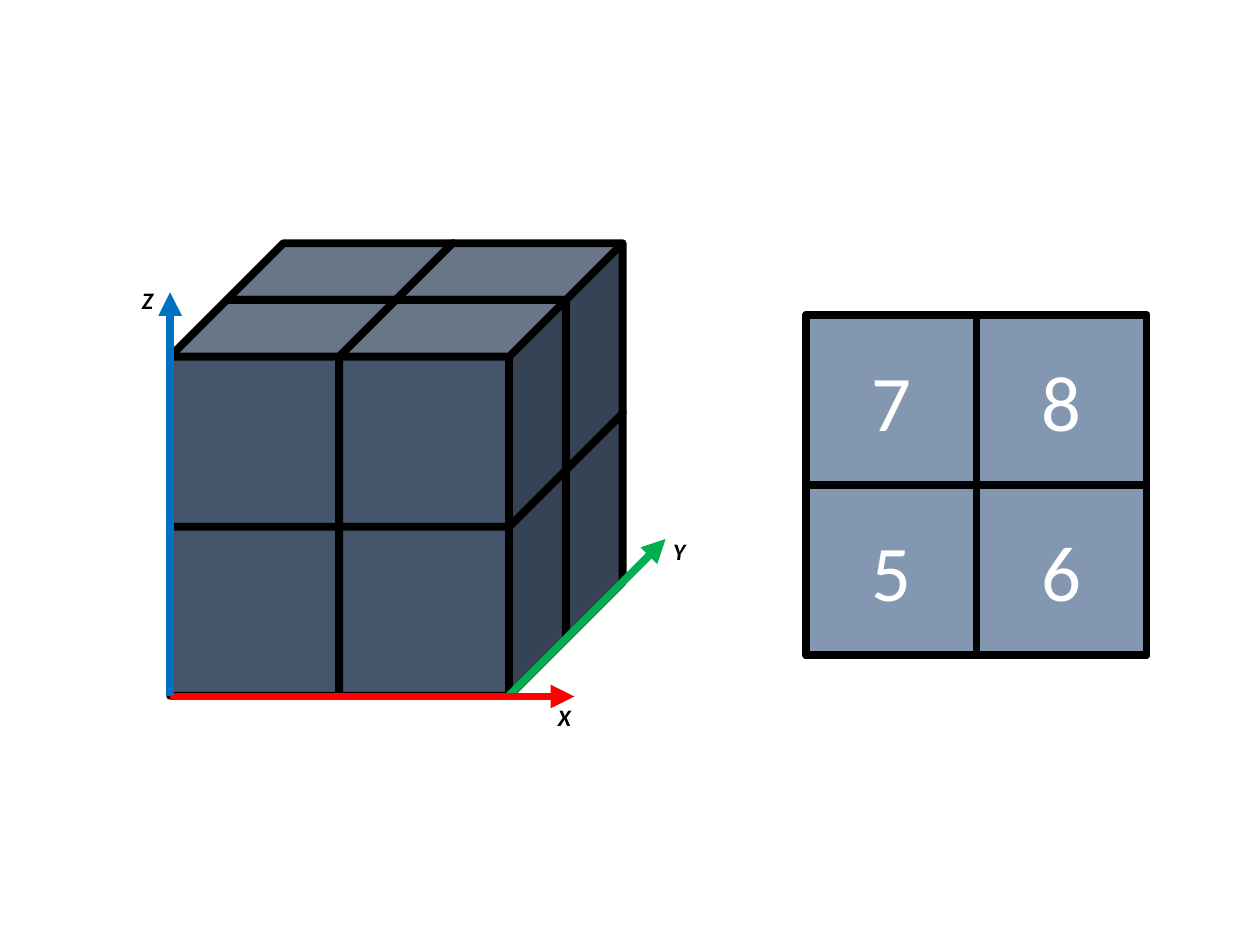
from itertools import product
from lxml.etree import SubElement
from pptx import Presentation
from pptx.dml.color import RGBColor
from pptx.enum.shapes import MSO_CONNECTOR, MSO_SHAPE
from pptx.enum.text import MSO_ANCHOR, MSO_AUTO_SIZE, PP_ALIGN
from pptx.oxml.ns import qn
from pptx.util import Pt

LINE = 4.5
BLACK = "000000"
AXIS = {"name": "Calibri", "size": Pt(13.5), "bold": True, "italic": True}
DIGIT = {"name": "Calibri", "size": Pt(45), "bold": False}


def paint(form, color):
    if hasattr(form, "solid"):
        form.solid()
        form = form.fore_color
    form.rgb = RGBColor.from_string(color)


def style(item, values):
    for name, value in values.items():
        setattr(item, name, value)


def block(group, kind, box, color):
    shape = group.shapes.add_shape(kind, *map(Pt, box))
    shape.shadow.inherit = False
    paint(shape.fill, color)
    paint(shape.line.fill, BLACK)
    shape.line.width = Pt(LINE)
    return shape


def write(shape, text, font, color, frame):
    style(shape.text_frame, frame)
    para = shape.text_frame.paragraphs[0]
    para.alignment = PP_ALIGN.CENTER
    run = para.add_run()
    run.text = text
    style(run.font, font)
    paint(run.font.color, color)


def arrow(group, start, end, color):
    line = group.shapes.add_connector(
        MSO_CONNECTOR.STRAIGHT, *map(Pt, (*start, *end)))
    paint(line.line.fill, color)
    line.line.width = Pt(LINE)
    props = line._element.spPr
    SubElement(props.find(qn("a:ln")), qn("a:tailEnd"), type="triangle")
    SubElement(props, qn("a:effectLst"))


def label(group, text, left, top):
    box = group.shapes.add_textbox(*map(Pt, (left, top, 24.5, 23.8)))
    write(box, text, AXIS, BLACK, {
        "word_wrap": True, "auto_size": MSO_AUTO_SIZE.SHAPE_TO_FIT_TEXT,
        "margin_left": Pt(5.4), "margin_right": Pt(5.4)})


def draw_cube(slide, left, top, step, depth):
    group = slide.shapes.add_group_shape()
    side = step + depth + 0.6
    for back, level, col in product((1, 0), (1, 0), (0, 1)):
        x = left + col * step + back * depth
        y = top + level * step + (1 - back) * depth
        block(group, MSO_SHAPE.CUBE, (x, y, side, side), "44546A")
    base = top + depth + step + side + 0.4
    reach = 231
    slant = 90
    edge = left + 2 * step
    arrow(group, (edge, base), (edge + slant, base - slant), "00B050")
    arrow(group, (left, base), (left + reach, base), "FF0000")
    arrow(group, (left, base), (left, base - reach), "0070C0")
    label(group, "Z", left - 25.2, base - reach - 7)
    label(group, "X", left + reach - 18, base)
    label(group, "Y", edge + slant - 4.5, base - slant - 5)


def draw_grid(slide, left, top, cell):
    group = slide.shapes.add_group_shape()
    block(group, MSO_SHAPE.RECTANGLE, (left, top, 2 * cell, 2 * cell), "8497B0")
    frame = {"vertical_anchor": MSO_ANCHOR.MIDDLE, "word_wrap": True,
             "margin_left": Pt(5.4), "margin_right": Pt(5.4),
             "margin_top": Pt(2.7), "margin_bottom": Pt(2.7)}
    for digit, (row, col) in zip("5678", product((1, 0), (0, 1))):
        box = (left + col * cell, top + row * cell, cell, cell)
        shape = block(group, MSO_SHAPE.RECTANGLE, box, "8497B0")
        write(shape, digit, DIGIT, "FFFFFF", frame)


deck = Presentation()
style(deck, {"slide_width": Pt(720), "slide_height": Pt(540)})
slide = deck.slides.add_slide(deck.slide_layouts[6])
draw_cube(slide, 97.2, 139, 96.6, 32.4)
draw_grid(slide, 460.8, 180, 97.2)
deck.save("out.pptx")
